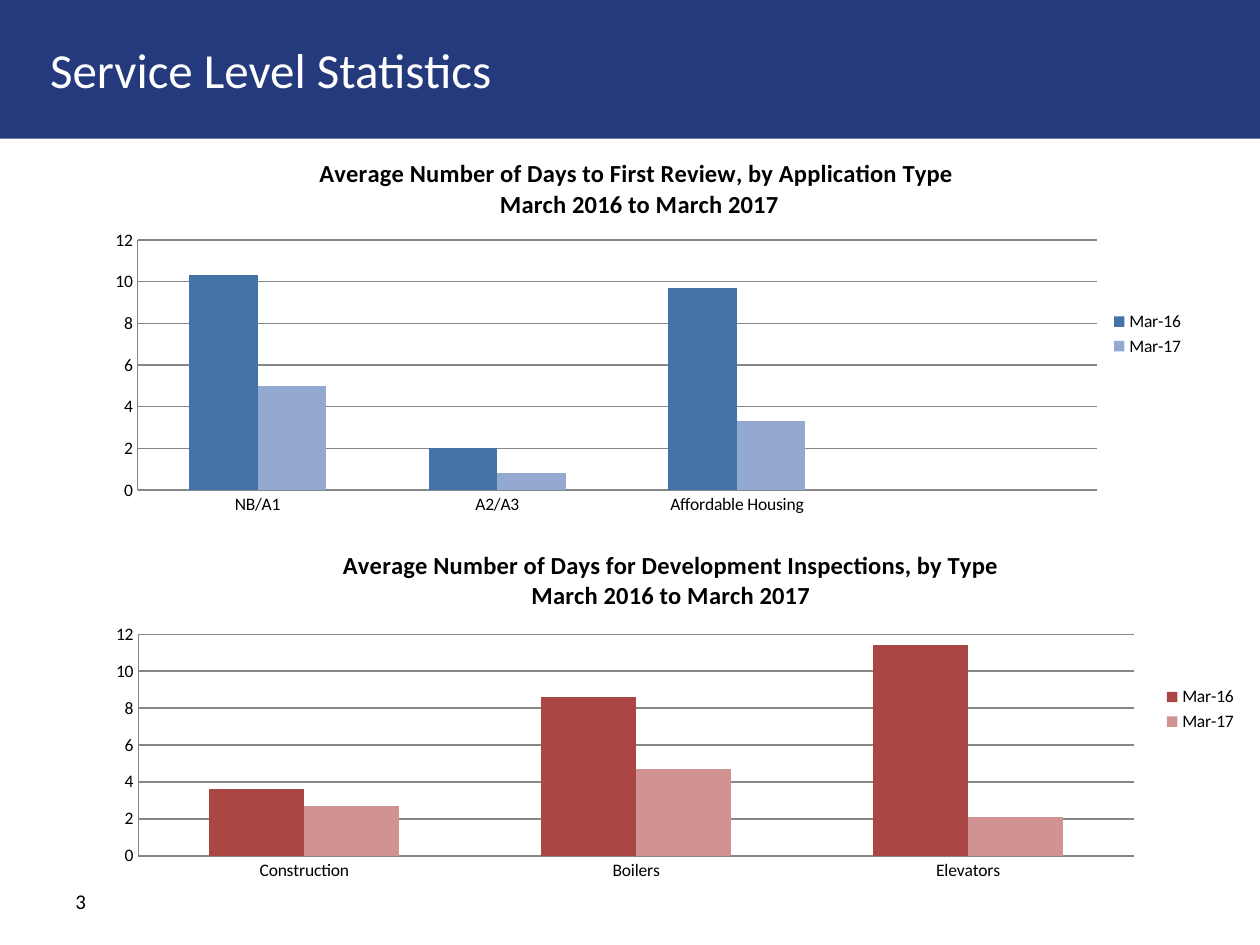
import pptx
import pptx.chart.data
import pptx.dml.color
import pptx.enum.chart
import pptx.enum.shapes
import pptx.enum.text
import pptx.oxml
import pptx.oxml.ns
import pptx.util
from pptx.util import Inches

FONT = "Calibri"
COLORS = {
    "banner": "253A7D",
    "white": "FFFFFF",
    "text": "000000",
    "grid": "868686",
    "blue": "4572A7",
    "light_blue": "93A9CF",
    "red": "AA4643",
    "light_red": "D19392",
}
PERIODS = ("Mar-16", "Mar-17")
PERIOD_LINE = "March 2016 to March 2017"


def rgb(name):
    return pptx.dml.color.RGBColor.from_string(COLORS[name])


def set_font(font, size, color, bold=False):
    font.name = FONT
    font.size = pptx.util.Pt(size)
    font.bold = bold
    font.color.rgb = rgb(color)


def add_label(page, box, text, size, color):
    label = page.shapes.add_textbox(*box)
    frame = label.text_frame
    frame.word_wrap = True
    frame.vertical_anchor = pptx.enum.text.MSO_ANCHOR.MIDDLE
    frame.text = text
    set_font(frame.paragraphs[0].font, size, color)


def add_banner(page, box, title):
    left, top, width, height = box
    banner = page.shapes.add_shape(pptx.enum.shapes.MSO_SHAPE.RECTANGLE, *box)
    banner.shadow.inherit = False
    banner.fill.solid()
    banner.fill.fore_color.rgb = rgb("banner")
    banner.line.fill.background()
    title_box = (left + Inches(0.3), top + Inches(0.24), width - Inches(0.6), Inches(0.62))
    add_label(page, title_box, title, 28, "white")


def set_plot_layout(chart, fractions):
    parts = "".join(f'<c:{key}Mode val="edge"/>' for key in "xy")
    parts += "".join(f'<c:{key} val="{value}"/>' for key, value in zip("xywh", fractions))
    layout = pptx.oxml.parse_xml(
        f'<c:layout {pptx.oxml.ns.nsdecls("c")}><c:manualLayout>'
        f'<c:layoutTarget val="inner"/>{parts}</c:manualLayout></c:layout>'
    )
    plot_area = chart.element.chart.plotArea
    for old_layout in plot_area.findall(pptx.oxml.ns.qn("c:layout")):
        plot_area.remove(old_layout)
    plot_area.insert(0, layout)


def style_axes(chart):
    chart.value_axis.minimum_scale = 0
    chart.value_axis.maximum_scale = 12
    chart.value_axis.major_unit = 2
    gridlines = chart.value_axis.major_gridlines
    for axis in (chart.category_axis, chart.value_axis):
        axis.major_tick_mark = pptx.enum.chart.XL_TICK_MARK.NONE
        axis.minor_tick_mark = pptx.enum.chart.XL_TICK_MARK.NONE
    for line in (gridlines.format.line, chart.category_axis.format.line, chart.value_axis.format.line):
        line.color.rgb = rgb("grid")
        line.width = pptx.util.Pt(0.75)


def add_days_chart(page, box, heading, categories, values, fills, plot_fractions):
    data = pptx.chart.data.CategoryChartData()
    data.categories = categories
    for period, days in zip(PERIODS, values):
        data.add_series(period, days)
    chart = page.shapes.add_chart(
        pptx.enum.chart.XL_CHART_TYPE.COLUMN_CLUSTERED, *box, data
    ).chart
    set_font(chart.font, 10, "text")

    chart.has_title = True
    title_frame = chart.chart_title.text_frame
    title_frame.text = f"{heading}\n{PERIOD_LINE}"
    for para in title_frame.paragraphs:
        set_font(para.font, 14, "text", bold=True)
    chart.chart_title.include_in_layout = False

    chart.has_legend = True
    chart.legend.position = pptx.enum.chart.XL_LEGEND_POSITION.RIGHT
    chart.legend.include_in_layout = False

    plot = chart.plots[0]
    plot.gap_width = 150
    plot.overlap = 0
    plot.vary_by_categories = False
    for series, fill in zip(plot.series, fills):
        series.format.fill.solid()
        series.format.fill.fore_color.rgb = rgb(fill)
        series.invert_if_negative = False
    style_axes(chart)
    set_plot_layout(chart, plot_fractions)


def main():
    deck = pptx.Presentation()
    deck.slide_width = Inches(10)
    deck.slide_height = Inches(7.5)
    page = deck.slides.add_slide(deck.slide_layouts[6])

    add_banner(page, (0, 0, deck.slide_width, Inches(1.1)), "Service Level Statistics")
    add_label(page, (Inches(0.5), Inches(6.95), Inches(2.33), Inches(0.4)), "3", 12, "text")
    add_days_chart(
        page,
        (Inches(0.65), Inches(1.1), Inches(8.85), Inches(3.1)),
        "Average Number of Days to First Review, by Application Type ",
        ("NB/A1", "A2/A3", "Affordable Housing", ""),
        ((10.3, 2, 9.7, None), (5, 0.8, 3.3, None)),
        ("blue", "light_blue"),
        (0.05, 0.26, 0.86, 0.64),
    )
    add_days_chart(
        page,
        (Inches(0.73), Inches(4.21), Inches(9.19), Inches(2.84)),
        "Average Number of Days for Development Inspections, by Type",
        ("Construction", "Boilers", "Elevators"),
        ((3.6, 8.6, 11.4), (2.7, 4.7, 2.1)),
        ("red", "light_red"),
        (0.04, 0.29, 0.86, 0.62),
    )
    deck.save("out.pptx")


if __name__ == "__main__":
    main()
